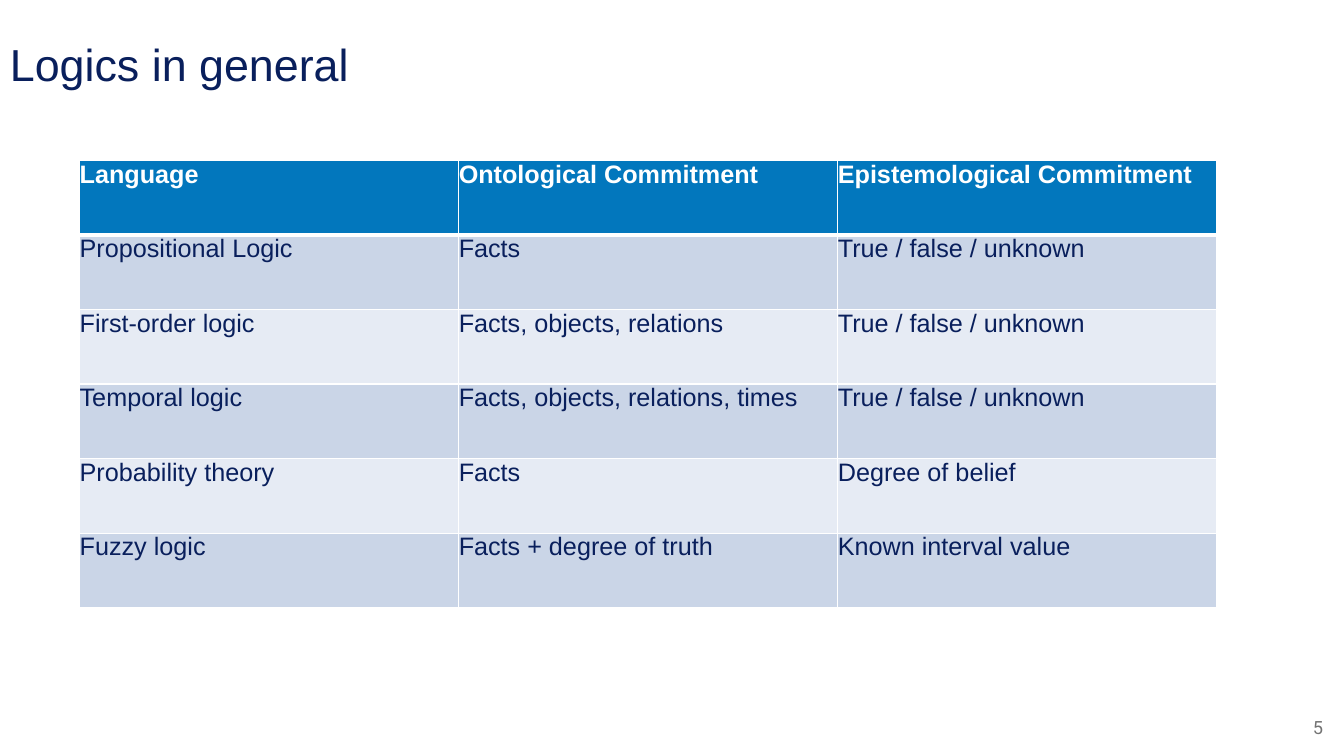
from lxml import etree
from pptx import Presentation
from pptx.dml.color import RGBColor
from pptx.enum.text import MSO_ANCHOR, PP_ALIGN
from pptx.oxml.ns import qn
from pptx.util import Inches, Pt

MIDDLE, TOP = MSO_ANCHOR.MIDDLE, MSO_ANCHOR.TOP
LEFT, RIGHT = PP_ALIGN.LEFT, PP_ALIGN.RIGHT

# Content
TITLE = "Logics in general"
PAGE = "5"
HEADINGS = ("Language", "Ontological Commitment", "Epistemological Commitment")
LOGICS = [
    ("Propositional Logic", "Facts", "True / false / unknown"),
    ("First-order logic", "Facts, objects, relations", "True / false / unknown"),
    ("Temporal logic", "Facts, objects, relations, times", "True / false / unknown"),
    ("Probability theory", "Facts", "Degree of belief"),
    ("Fuzzy logic", "Facts + degree of truth", "Known interval value"),
]

# Theme
THEME = {
    "title": {"name": "Arial", "size": Pt(32), "color": "091F5C"},
    "page": {"name": "Roboto", "size": Pt(13), "color": "737373"},
    "heading": {"name": "Arial", "size": Pt(18), "bold": True, "color": "FFFFFF"},
    "body": {"name": "Arial", "size": Pt(18), "bold": False, "color": "091F5C"},
    "heading_fill": "0277BD",
    "bands": ("CAD5E7", "E6EBF4"),
    "border": "FFFFFF",
}

# Layout in inches
SLIDE_SIZE = (13.33, 7.5)
TITLE_BOX = (0, 0.07, 13.33, 1.12)
PAGE_BOX = (12.91, 7, 0.31, 0.42)
TABLE_LEFT, TABLE_TOP = 0.79, 1.59
COLUMN_WIDTH, ROW_HEIGHT = 3.76, 0.74


def write(frame, text, style, align=LEFT):
    paragraph = frame.paragraphs[0]
    paragraph.alignment = align
    run = paragraph.add_run()
    run.text = text
    for key, value in THEME[style].items():
        if key == "color":
            run.font.color.rgb = RGBColor.from_string(value)
        else:
            setattr(run.font, key, value)


def add_text(slide, box, text, style, align=LEFT, wrap=True):
    frame = slide.shapes.add_textbox(*map(Inches, box)).text_frame
    margins = dict.fromkeys(
        ("margin_left", "margin_top", "margin_right", "margin_bottom"), Inches(0.1))
    for key, value in {"word_wrap": wrap, "vertical_anchor": MIDDLE, **margins}.items():
        setattr(frame, key, value)
    write(frame, text, style, align)


def add_borders(cell, widths):
    properties = cell._tc.get_or_add_tcPr()
    for side, width in widths.items():
        line = etree.SubElement(properties, qn(f"a:ln{side}"), w=str(Pt(width)))
        fill = etree.SubElement(line, qn("a:solidFill"))
        etree.SubElement(fill, qn("a:srgbClr"), val=THEME["border"])


def add_logic_table(slide):
    rows = [HEADINGS, *LOGICS]
    size = (COLUMN_WIDTH * len(HEADINGS), ROW_HEIGHT * len(rows))
    table = slide.shapes.add_table(
        len(rows), len(HEADINGS), *map(Inches, (TABLE_LEFT, TABLE_TOP, *size))).table
    for column in table.columns:
        column.width = Inches(COLUMN_WIDTH)

    for r, row in enumerate(rows):
        table.rows[r].height = Inches(ROW_HEIGHT)
        heading = r == 0
        color = THEME["heading_fill"] if heading else THEME["bands"][(r - 1) % 2]
        # The rule under the headings is thicker than the others
        widths = {"L": 1, "R": 1, "T": 3 if r == 1 else 1, "B": 3 if heading else 1}
        for c, text in enumerate(row):
            cell = table.cell(r, c)
            cell.margin_left = cell.margin_right = 0
            cell.margin_top = cell.margin_bottom = 0
            cell.vertical_anchor = TOP
            add_borders(cell, widths)
            cell.fill.solid()
            cell.fill.fore_color.rgb = RGBColor.from_string(color)
            write(cell.text_frame, text, "heading" if heading else "body")


def main():
    deck = Presentation()
    deck.slide_width, deck.slide_height = map(Inches, SLIDE_SIZE)
    slide = deck.slides.add_slide(deck.slide_layouts[6])
    add_text(slide, TITLE_BOX, TITLE, "title")
    add_text(slide, PAGE_BOX, PAGE, "page", RIGHT, wrap=False)
    add_logic_table(slide)
    deck.save("out.pptx")


if __name__ == "__main__":
    main()
